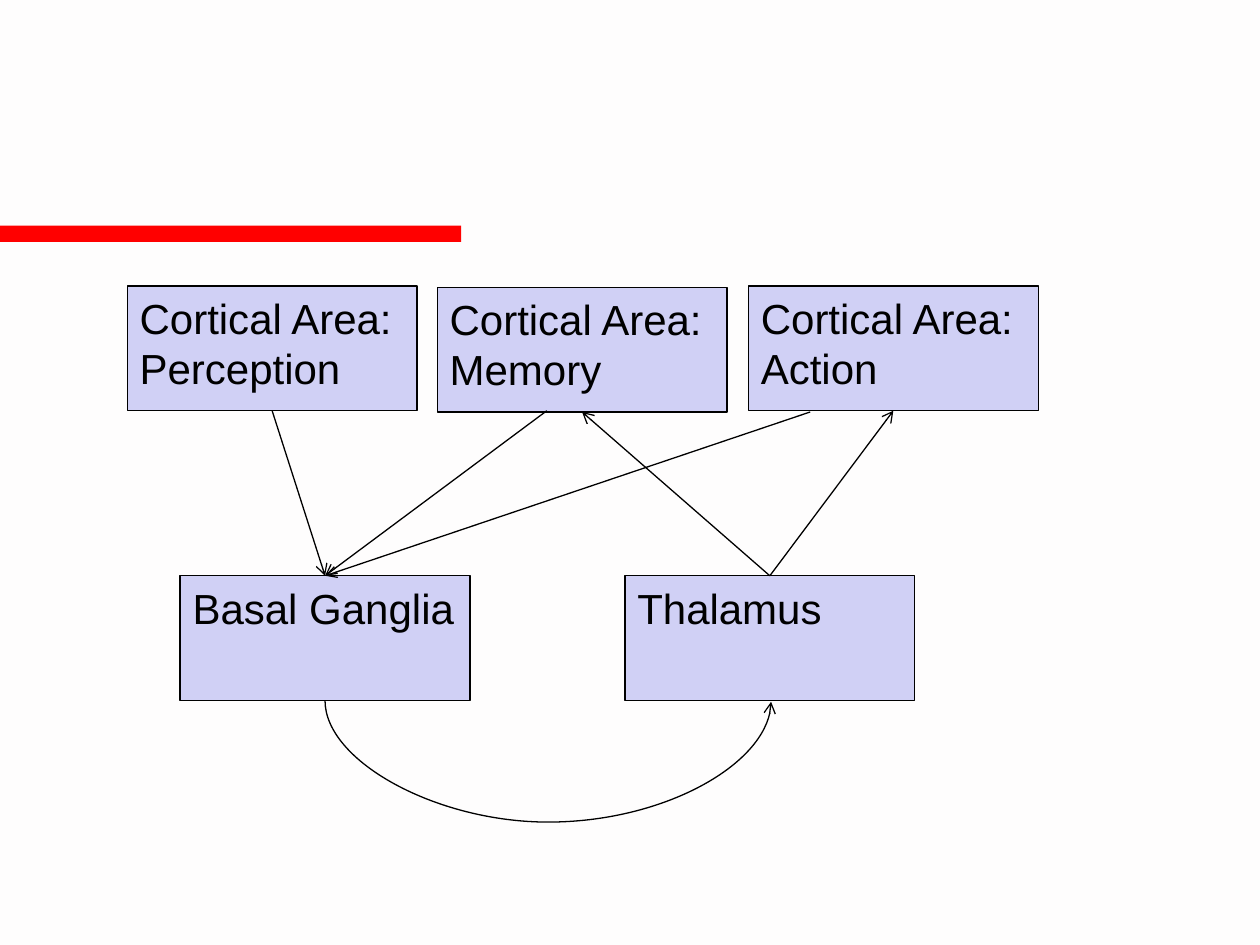
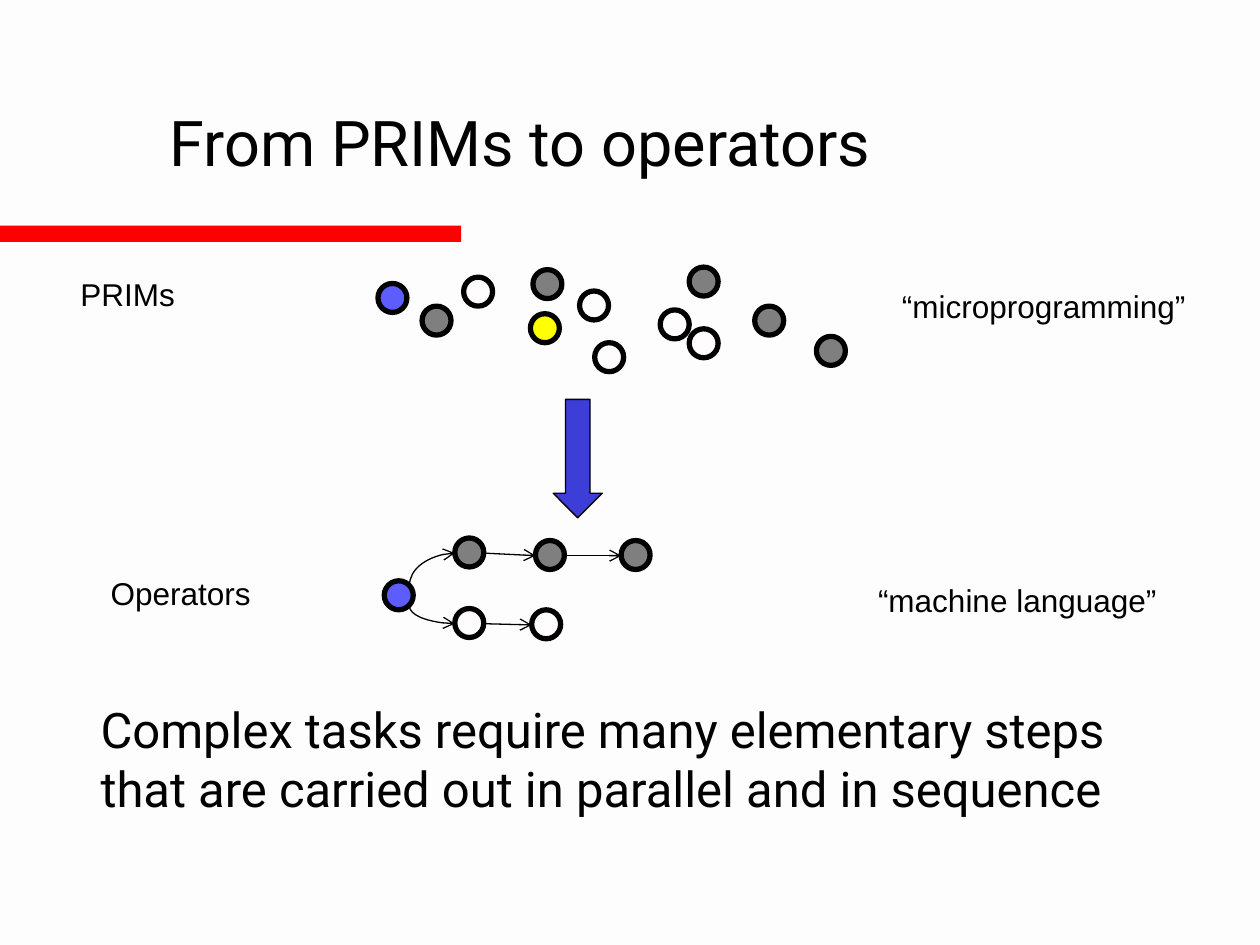
from dataclasses import dataclass
from typing import Any, NamedTuple

import lxml.etree
import pptx
import pptx.dml.color
import pptx.enum.shapes
import pptx.enum.text
import pptx.oxml.ns
import pptx.util

EMU_PER_PX = 9144  # 100 px to the inch
SHAPE = pptx.enum.shapes.MSO_SHAPE
CONNECTOR = pptx.enum.shapes.MSO_CONNECTOR
ANCHOR = pptx.enum.text.MSO_ANCHOR
TOP, BOTTOM = 0, 2  # connection sites of a rectangle


@dataclass(frozen=True)
class TextStyle:
    font: str
    size: int
    color: str = "000000"


@dataclass(frozen=True)
class Theme:
    background: str = "FEFDFD"
    band: str = "FF0000"
    ink: str = "000000"
    area: str = "D0D0F5"
    blue: str = "5C5CFF"
    gray: str = "7F7F7F"
    white: str = "FEFCFC"
    yellow: str = "FFFF00"
    arrow: str = "3D3DD7"
    thin: float = 0.75
    thick: float = 3
    title: TextStyle = TextStyle("Roboto", 36)
    body: TextStyle = TextStyle("Roboto", 28)
    area_text: TextStyle = TextStyle("Arial", 24)
    label: TextStyle = TextStyle("Arial", 18)


THEME = Theme()


class Point(NamedTuple):
    x: int
    y: int


class Frame(NamedTuple):
    left: int
    top: int
    width: int
    height: int


class Area(NamedTuple):
    name: str
    left: int
    top: int


class Circle(NamedTuple):
    left: int
    top: int
    color: str


AREA_SIZE = (230, 99)
CIRCLE_SIZE = 23

AREAS = {
    "perception": Area("Cortical Area: Perception", 101, 227),
    "memory": Area("Cortical Area: Memory", 347, 228),
    "action": Area("Cortical Area: Action", 594, 227),
    "ganglia": Area("Basal Ganglia", 143, 457),
    "thalamus": Area("Thalamus", 496, 457),
}

PRIMS = [
    Circle(300, 225, THEME.blue),
    Circle(335, 243, THEME.gray),
    Circle(368, 220, THEME.white),
    Circle(421, 249, THEME.yellow),
    Circle(423, 214, THEME.gray),
    Circle(460, 231, THEME.white),
    Circle(547, 212, THEME.gray),
    Circle(547, 261, THEME.white),
    Circle(648, 267, THEME.gray),
    Circle(524, 246, THEME.white),
    Circle(599, 243, THEME.gray),
    Circle(472, 272, THEME.white),
]
START_OPERATOR = Circle(305, 461, THEME.blue)
OPERATOR_CHAINS = [
    [Circle(left, top, THEME.gray) for left, top in ((361, 427), (425, 429), (493, 429))],
    [Circle(left, top, THEME.white) for left, top in ((361, 483), (422, 484))],
]


# Basic helpers

def px(length: float) -> int:
    return round(length * EMU_PER_PX)


def rgb(color: str) -> pptx.dml.color.RGBColor:
    return pptx.dml.color.RGBColor.from_string(color)


def write(shape: Any, text: str, style: TextStyle, anchor: Any = ANCHOR.TOP) -> None:
    frame = shape.text_frame
    frame.word_wrap = True
    frame.vertical_anchor = anchor
    frame.text = text
    for para in frame.paragraphs:
        para.alignment = pptx.enum.text.PP_ALIGN.LEFT
        for span in para.runs:
            span.font.name = style.font
            span.font.size = pptx.util.Pt(style.size)
            span.font.color.rgb = rgb(style.color)


def add_text(shapes: Any, frame: Frame, text: str, style: TextStyle,
             anchor: Any = ANCHOR.TOP, grow: bool = True) -> None:
    box = shapes.add_textbox(*map(px, frame))
    write(box, text, style, anchor)
    if grow:
        box.text_frame.auto_size = pptx.enum.text.MSO_AUTO_SIZE.SHAPE_TO_FIT_TEXT


def add_preset(shapes: Any, kind: Any, frame: Frame, fill: str, line_width: float = 0) -> Any:
    shape = shapes.add_shape(kind, *map(px, frame))
    shape.shadow.inherit = False
    shape.fill.solid()
    shape.fill.fore_color.rgb = rgb(fill)
    if line_width:
        shape.line.color.rgb = rgb(THEME.ink)
        shape.line.width = pptx.util.Pt(line_width)
    else:
        shape.line.fill.background()
    return shape


# Arrows

def style_arrow(connector: Any) -> None:
    connector.line.color.rgb = rgb(THEME.ink)
    connector.line.width = pptx.util.Pt(THEME.thin)
    properties = connector._element.spPr
    qn = pptx.oxml.ns.qn
    lxml.etree.SubElement(properties.find(qn("a:ln")), qn("a:tailEnd"), type="arrow")
    lxml.etree.SubElement(properties, qn("a:effectLst"))


def add_arrow(shapes: Any, start: Point, end: Point) -> Any:
    arrow = shapes.add_connector(CONNECTOR.STRAIGHT, *map(px, (*start, *end)))
    style_arrow(arrow)
    return arrow


def add_curve(shapes: Any, start: Point, end: Point, quarter_turns: int,
              flips: tuple[str, ...], bend: int | None = None) -> None:
    """Draw a curve that leaves vertically; bend is a multiple of its vertical span."""
    width, height = abs(end.y - start.y), abs(end.x - start.x)
    left = (start.x + end.x - width) / 2
    top = (start.y + end.y - height) / 2
    curve = shapes.add_connector(
        CONNECTOR.CURVE, px(left), px(top), px(left + width), px(top + height))
    style_arrow(curve)
    qn = pptx.oxml.ns.qn
    properties = curve._element.spPr
    transform = properties.find(qn("a:xfrm"))
    transform.set("rot", str(quarter_turns * 90 * 60000))
    for flip in flips:
        transform.set(flip, "1")
    geometry = properties.find(qn("a:prstGeom"))
    if bend is None:
        geometry.set("prst", "curvedConnector2")
    else:
        guides = geometry.find(qn("a:avLst"))
        lxml.etree.SubElement(guides, qn("a:gd"), name="adj1", fmla=f"val {bend * 100000}")


# Parts shared by the slides

def add_page(deck: Any) -> Any:
    page = deck.slides.add_slide(deck.slide_layouts[6])
    page.background.fill.solid()
    page.background.fill.fore_color.rgb = rgb(THEME.background)
    add_preset(page.shapes, SHAPE.RECTANGLE, Frame(0, 179, 366, 13), THEME.band)
    return page


def add_circle(shapes: Any, circle: Circle) -> None:
    frame = Frame(circle.left, circle.top, CIRCLE_SIZE, CIRCLE_SIZE)
    add_preset(shapes, SHAPE.OVAL, frame, circle.color, THEME.thick)


def left_side(circle: Circle) -> Point:
    return Point(circle.left, circle.top + CIRCLE_SIZE // 2 + 1)


def right_side(circle: Circle) -> Point:
    return Point(circle.left + CIRCLE_SIZE, circle.top + CIRCLE_SIZE // 2 + 1)


# Slide 1: brain areas

def build_areas(deck: Any) -> None:
    shapes = add_page(deck).shapes
    boxes = {}
    for key, area in AREAS.items():
        frame = Frame(area.left, area.top, *AREA_SIZE)
        boxes[key] = add_preset(shapes, SHAPE.RECTANGLE, frame, THEME.area, THEME.thin)
        write(boxes[key], area.name, THEME.area_text)

    ganglia_top, thalamus_top = Point(258, 457), Point(611, 457)
    perception_bottom = Point(216, 326)
    for start in (perception_bottom, Point(434, 326), Point(643, 327)):
        arrow = add_arrow(shapes, start, ganglia_top)
        arrow.end_connect(boxes["ganglia"], TOP)
        if start == perception_bottom:
            arrow.begin_connect(boxes["perception"], BOTTOM)
    for key, end in (("action", Point(709, 326)), ("memory", Point(462, 327))):
        arrow = add_arrow(shapes, thalamus_top, end)
        arrow.begin_connect(boxes["thalamus"], TOP)
        arrow.end_connect(boxes[key], BOTTOM)
    add_curve(shapes, Point(258, 556), Point(612, 557), 3, ("flipH",), bend=98)


# Slide 2: PRIMs and operators

def build_operators(deck: Any) -> None:
    shapes = add_page(deck).shapes
    add_text(shapes, Frame(125, 50, 850, 125), "From PRIMs to operators",
             THEME.title, ANCHOR.MIDDLE, grow=False)
    add_text(shapes, Frame(70, 550, 850, 139),
             "Complex tasks require many elementary steps that are carried out "
             "in parallel and in sequence", THEME.body, grow=False)

    prims = shapes.add_group_shape().shapes
    add_text(prims, Frame(54, 213, 183, 40), "PRIMs", THEME.label)
    for circle in PRIMS:
        add_circle(prims, circle)

    operators = shapes.add_group_shape().shapes
    add_text(operators, Frame(78, 451, 183, 40), "Operators", THEME.label)
    add_circle(operators, START_OPERATOR)
    for chain in OPERATOR_CHAINS:
        for circle in chain:
            add_circle(operators, circle)
        for before, after in zip(chain, chain[1:]):
            add_arrow(operators, right_side(before), left_side(after))
    upper, lower = OPERATOR_CHAINS
    add_curve(operators, Point(325, 465), left_side(upper[0]), 1, ("flipH", "flipV"))
    add_curve(operators, Point(325, 481), left_side(lower[0]), 3, ("flipH",))

    add_preset(shapes, SHAPE.DOWN_ARROW, Frame(439, 317, 39, 94), THEME.arrow, THEME.thin)
    add_text(shapes, Frame(706, 223, 269, 40), "“microprogramming”", THEME.label)
    add_text(shapes, Frame(687, 456, 269, 40), "“machine language”", THEME.label)


def main() -> None:
    deck = pptx.Presentation()
    deck.slide_width, deck.slide_height = px(1000), px(750)
    build_areas(deck)
    build_operators(deck)
    deck.save("out.pptx")


if __name__ == "__main__":
    main()
